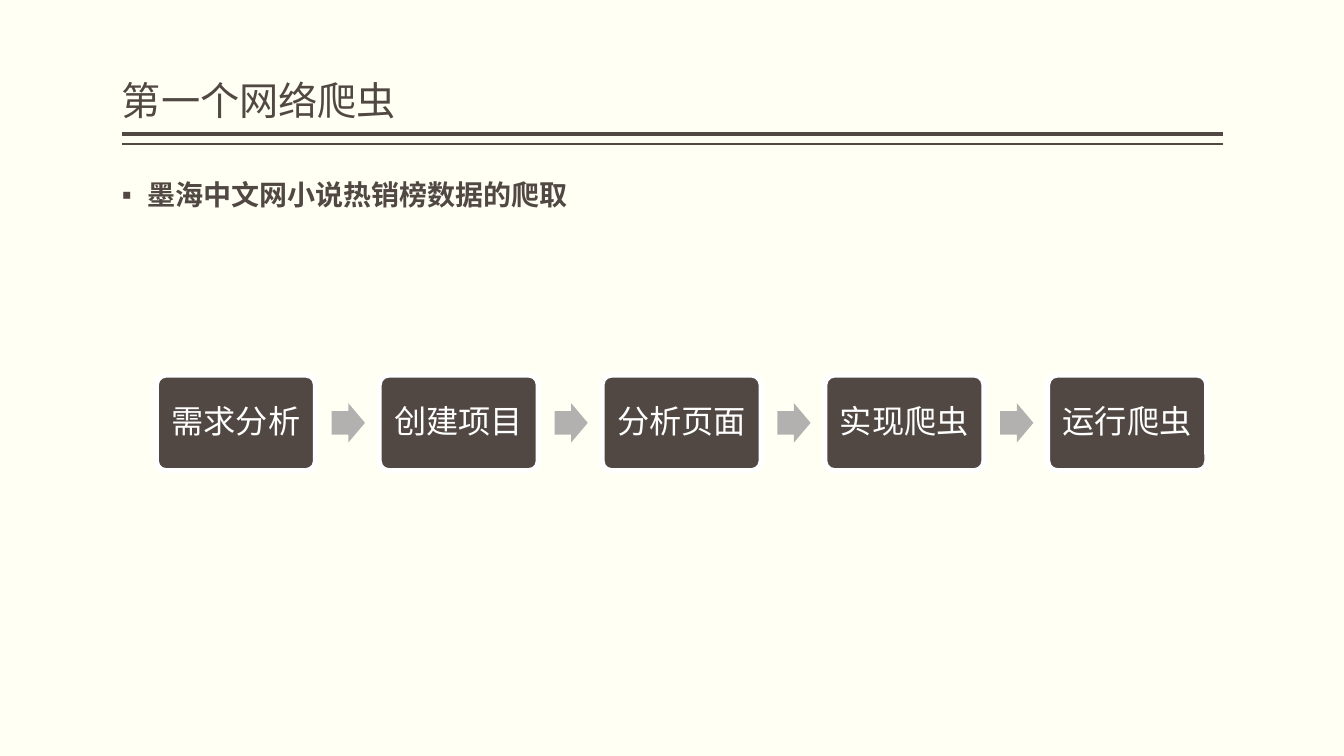
"""Build a slide showing the five steps of a first web crawler."""
from lxml import etree
from pptx import Presentation
from pptx.dml.color import RGBColor
from pptx.enum.shapes import MSO_CONNECTOR, MSO_SHAPE
from pptx.enum.text import MSO_ANCHOR, MSO_AUTO_SIZE, PP_ALIGN
from pptx.oxml.ns import qn
from pptx.util import Inches, Pt

STRAIGHT = MSO_CONNECTOR.STRAIGHT
ROUNDED = MSO_SHAPE.ROUNDED_RECTANGLE
ARROW = MSO_SHAPE.RIGHT_ARROW
BOTTOM, MIDDLE, TOP = MSO_ANCHOR.BOTTOM, MSO_ANCHOR.MIDDLE, MSO_ANCHOR.TOP
LEFT, CENTER = PP_ALIGN.LEFT, PP_ALIGN.CENTER
NO_AUTOFIT = MSO_AUTO_SIZE.NONE

FONT = "Noto Sans CJK SC"
COLORS = {"background": "FFFFF3", "brown": "514843", "white": "FFFFFF", "arrow": "B3B1B0"}
STEPS = ["需求分析", "创建项目", "分析页面", "实现爬虫", "运行爬虫"]
STEP_LEFT, STEP_PITCH = 1.55, 2.21


def color(name):
    return RGBColor.from_string(COLORS[name])


def write_text(shape, text, size, color_name, anchor, align, margins, bold=False):
    frame = shape.text_frame
    frame.text = text
    frame.word_wrap = True
    frame.auto_size = NO_AUTOFIT
    frame.vertical_anchor = anchor
    frame.margin_left = frame.margin_right = Inches(margins[0])
    frame.margin_top = frame.margin_bottom = Inches(margins[1])
    paragraph = frame.paragraphs[0]
    paragraph.alignment = align
    paragraph.line_spacing = 0.9
    font = paragraph.font
    font.size = Pt(size)
    font.bold = bold
    font.color.rgb = color(color_name)
    font.name = FONT
    defaults = paragraph._p.pPr.find(qn("a:defRPr"))
    etree.SubElement(defaults, qn("a:ea")).set("typeface", FONT)
    return paragraph


presentation = Presentation()
presentation.slide_width = Inches(13.33)
presentation.slide_height = Inches(7.5)
slide = presentation.slides.add_slide(presentation.slide_layouts[1])
slide.background.fill.solid()
slide.background.fill.fore_color.rgb = color("background")

for line_top, width in [(1.33, 3), (1.43, 1)]:
    rule = slide.shapes.add_connector(
        STRAIGHT, Inches(12.13), Inches(line_top), Inches(1.21), Inches(line_top)
    )
    rule.line.color.rgb = color("brown")
    rule.line.width = Pt(width)
    etree.SubElement(rule._element.spPr, qn("a:effectLst"))

title = slide.shapes.title
title.left, title.top = Inches(1.21), Inches(0.08)
title.width, title.height = Inches(10.92), Inches(1.2)
write_text(title, "第一个网络爬虫", 28, "brown", BOTTOM, LEFT, (0, 0.05))

body = slide.placeholders[1]
body.left, body.top = Inches(1.21), Inches(1.75)
body.width, body.height = Inches(5.03), Inches(0.45)
topic = write_text(
    body, "墨海中文网小说热销榜数据的爬取", 20, "brown", TOP, LEFT, (0, 0.05), bold=True
)
topic.space_before = Pt(18)
properties = topic._p.pPr
properties.set("marL", str(Inches(0.25)))
properties.set("indent", str(Inches(-0.25)))
bullet = etree.Element(qn("a:buChar"), char="▪")
properties.find(qn("a:defRPr")).addprevious(bullet)

for index, step in enumerate(STEPS):
    left = STEP_LEFT + index * STEP_PITCH
    box = slide.shapes.add_shape(
        ROUNDED, Inches(left), Inches(3.72), Inches(1.58), Inches(0.95)
    )
    box.adjustments[0] = 0.1
    box.shadow.inherit = False
    box.fill.solid()
    box.fill.fore_color.rgb = color("brown")
    box.line.color.rgb = color("white")
    box.line.width = Pt(3.78)
    write_text(box, step, 23, "white", MIDDLE, CENTER, (0.1, 0.1))

    if index < len(STEPS) - 1:
        arrow = slide.shapes.add_shape(
            ARROW, Inches(left + 1.74), Inches(4), Inches(0.33), Inches(0.39)
        )
        arrow.adjustments[0] = 0.6
        arrow.adjustments[1] = 0.5
        arrow.shadow.inherit = False
        arrow.fill.solid()
        arrow.fill.fore_color.rgb = color("arrow")
        arrow.line.fill.background()

presentation.save("out.pptx")
